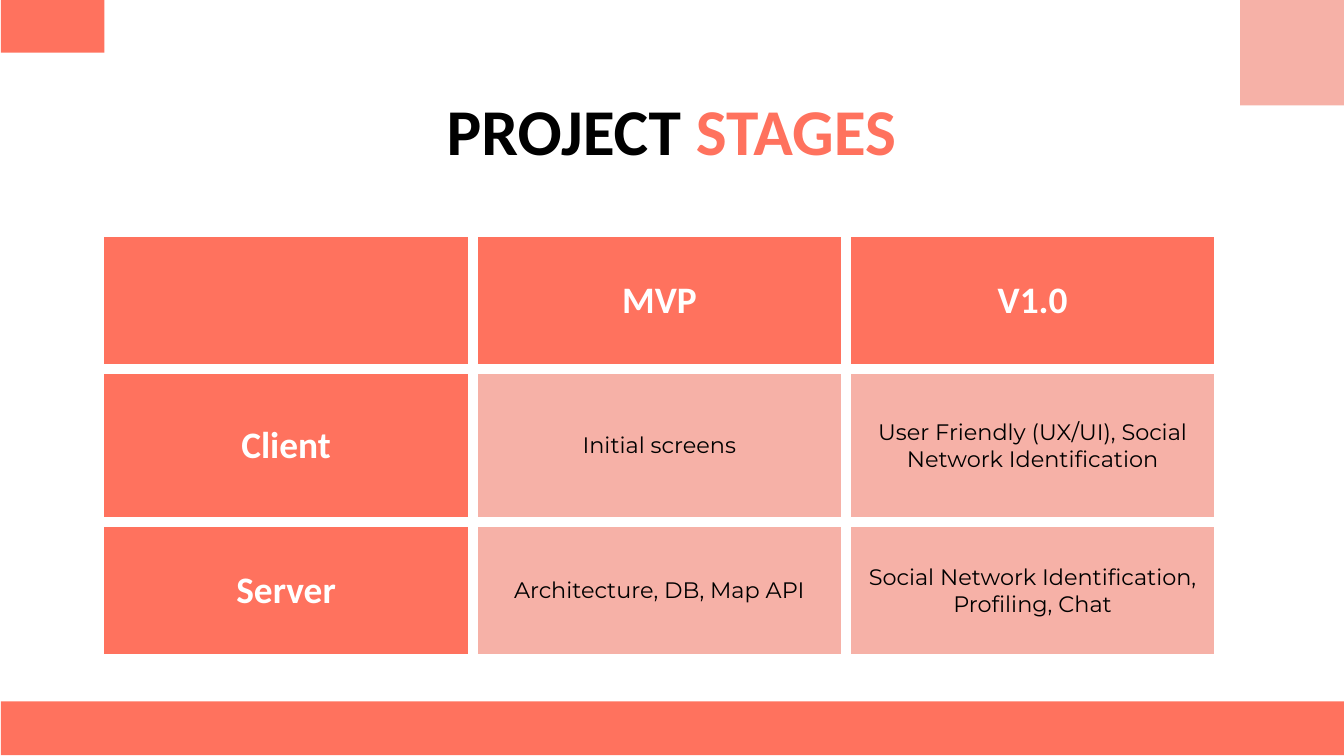
"""Build the project stages slide: a title, corner blocks and a stage table."""
from lxml.etree import SubElement
from pptx import Presentation
from pptx.dml.color import RGBColor
from pptx.enum.shapes import MSO_SHAPE
from pptx.enum.text import MSO_ANCHOR as ANCHOR, PP_ALIGN as ALIGN
from pptx.oxml.ns import qn
from pptx.util import Pt

COLORS = {"coral": "FF725E", "pink": "F6B1A7", "white": "FFFFFF", "black": "000000"}
MARGIN = Pt(7.2)
STAGES = [
    ["", "MVP", "V1.0"],
    ["Client", "Initial screens", "User Friendly (UX/UI), Social Network Identification"],
    ["Server", "Architecture, DB, Map API", "Social Network Identification, Profiling, Chat"],
]
COL_WIDTH = 200
ROW_HEIGHTS = [73.4, 82.1, 73.4]


def rgb(name):
    return RGBColor.from_string(COLORS[name])


def style(font, face, size, color, bold):
    font.name, font.size, font.bold = face, Pt(size), bold
    font.color.rgb = rgb(color)


def add_block(slide, x, y, w, h, color):
    sp = slide.shapes.add_shape(MSO_SHAPE.RECTANGLE, Pt(x), Pt(y), Pt(w), Pt(h))
    sp.shadow.inherit = False
    sp.fill.solid()
    sp.fill.fore_color.rgb = rgb(color)
    sp.line.fill.background()


def add_title(slide, parts):
    tf = slide.shapes.add_textbox(Pt(46.8), Pt(51.8), Pt(625.7), Pt(35.3)).text_frame
    tf.word_wrap = True
    tf.vertical_anchor = ANCHOR.MIDDLE
    tf.margin_left = tf.margin_right = tf.margin_top = tf.margin_bottom = MARGIN
    p = tf.paragraphs[0]
    p.alignment = ALIGN.CENTER
    for text, color in parts:
        r = p.add_run()
        r.text = text
        style(r.font, "Calibri", 35, color, True)


def set_borders(cell, color, width):
    tcPr = cell._tc.get_or_add_tcPr()
    for side in ("lnL", "lnR", "lnT", "lnB"):
        ln = SubElement(tcPr, qn(f"a:{side}"), w=str(Pt(width)))
        fill = SubElement(ln, qn("a:solidFill"))
        SubElement(fill, qn("a:srgbClr"), val=COLORS[color])


def fill_cell(cell, text, header):
    set_borders(cell, "white", 6)
    cell.fill.solid()
    cell.fill.fore_color.rgb = rgb("coral" if header else "pink")
    cell.vertical_anchor = ANCHOR.MIDDLE
    cell.margin_left = cell.margin_right = cell.margin_top = cell.margin_bottom = MARGIN
    cell.text = text
    p = cell.text_frame.paragraphs[0]
    p.alignment = ALIGN.CENTER
    if header:
        style(p.font, "Calibri", 20, "white", True)
    else:
        style(p.font, "Montserrat", 12, "black", False)


def add_stage_table(slide, x, y):
    rows, cols = len(STAGES), len(STAGES[0])
    size = Pt(COL_WIDTH * cols), Pt(sum(ROW_HEIGHTS))
    table = slide.shapes.add_table(rows, cols, Pt(x), Pt(y), *size).table
    for col in table.columns:
        col.width = Pt(COL_WIDTH)
    for i, (height, texts) in enumerate(zip(ROW_HEIGHTS, STAGES)):
        table.rows[i].height = Pt(height)
        for j, text in enumerate(texts):
            fill_cell(table.cell(i, j), text, header=i == 0 or j == 0)


def main():
    prs = Presentation()
    prs.slide_width, prs.slide_height = Pt(720), Pt(405)
    slide = prs.slides.add_slide(prs.slide_layouts[6])
    add_block(slide, 0.5, 375.8, 720, 28.8, "coral")
    add_block(slide, 0.5, -0.5, 55.5, 28.8, "coral")
    add_block(slide, 664.4, -0.5, 55.6, 57, "pink")
    add_stage_table(slide, 53.3, 124.3)
    add_title(slide, [("PROJECT ", "black"), ("STAGES", "coral")])
    prs.save("out.pptx")


if __name__ == "__main__":
    main()
